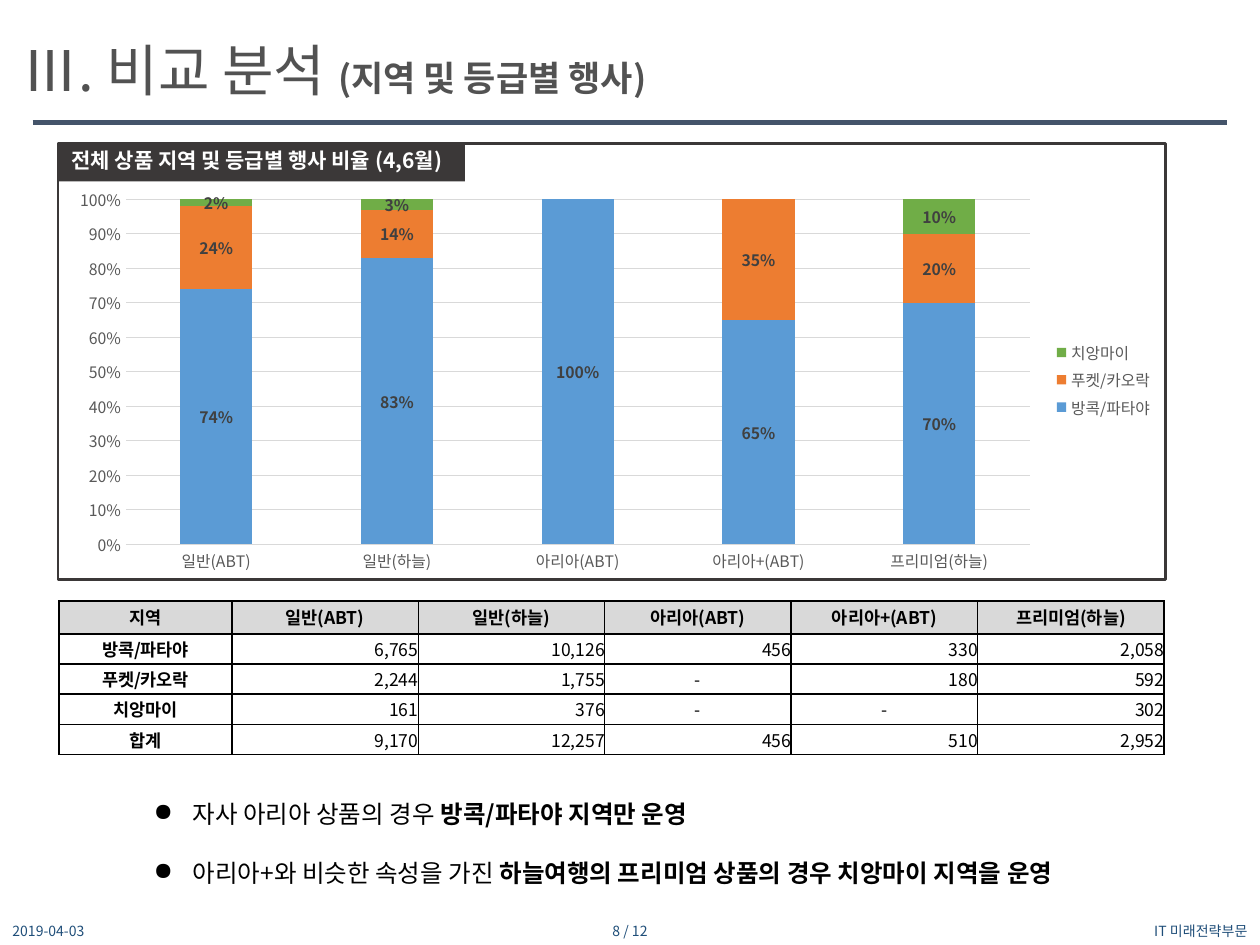
from lxml.etree import SubElement
from pptx import Presentation
from pptx.chart.data import CategoryChartData
from pptx.dml.color import RGBColor
from pptx.enum.chart import XL_CHART_TYPE, XL_LABEL_POSITION, XL_LEGEND_POSITION, XL_TICK_MARK
from pptx.enum.shapes import MSO_CONNECTOR, MSO_SHAPE
from pptx.enum.text import MSO_ANCHOR, PP_ALIGN
from pptx.oxml.ns import qn
from pptx.util import Inches, Pt

FONT = "Noto Sans CJK KR"
BLACK = RGBColor(0, 0, 0)
WHITE = RGBColor(0xFF, 0xFF, 0xFF)
CHARCOAL = RGBColor(0x3B, 0x38, 0x38)
TITLE_GRAY = RGBColor(0x52, 0x52, 0x52)
RULE_BLUE = RGBColor(0x44, 0x54, 0x6A)
FOOTER_BLUE = RGBColor(0x1F, 0x4E, 0x79)
HEADER_GRAY = RGBColor(0xD9, 0xD9, 0xD9)
AXIS_GRAY = RGBColor(0x59, 0x59, 0x59)
LABEL_GRAY = RGBColor(0x40, 0x40, 0x40)
SERIES_COLORS = [
    RGBColor(0x5B, 0x9B, 0xD5),
    RGBColor(0xED, 0x7D, 0x31),
    RGBColor(0x70, 0xAD, 0x47),
]

GRADES = ["일반(ABT)", "일반(하늘)", "아리아(ABT)", "아리아+(ABT)", "프리미엄(하늘)"]
SHARES = {
    "방콕/파타야": [0.74, 0.83, 1, 0.65, 0.7],
    "푸켓/카오락": [0.24, 0.14, 0, 0.35, 0.2],
    "치앙마이": [0.02, 0.03, 0, 0, 0.1],
}
COUNTS = [
    ["지역", *GRADES],
    ["방콕/파타야", "6,765", "10,126", "456", "330", "2,058"],
    ["푸켓/카오락", "2,244", "1,755", "-", "180", "592"],
    ["치앙마이", "161", "376", "-", "-", "302"],
    ["합계", "9,170", "12,257", "456", "510", "2,952"],
]
FINDINGS = [
    ("자사 아리아 상품의 경우 ", "방콕/파타야 지역만 운영"),
    ("아리아+와 비슷한 속성을 가진 ", "하늘여행의 프리미엄 상품의 경우 치앙마이 지역을 운영"),
]


def style_font(font, size, color, bold=False):
    font.name = FONT
    font.size = Pt(size)
    font.bold = bold
    font.color.rgb = color
    SubElement(font._rPr, qn("a:ea"), typeface=FONT)


def add_span(para, text, size, color, bold=False):
    span = para.add_run()
    span.text = text
    style_font(span.font, size, color, bold)


def add_text_box(page, left, top, width, height, anchor=MSO_ANCHOR.TOP):
    box = page.shapes.add_textbox(Inches(left), Inches(top), Inches(width), Inches(height))
    frame = box.text_frame
    frame.word_wrap = True
    frame.vertical_anchor = anchor
    return frame


def add_rectangle(page, left, top, width, height):
    shape = page.shapes.add_shape(
        MSO_SHAPE.RECTANGLE, Inches(left), Inches(top), Inches(width), Inches(height))
    shape.shadow.inherit = False
    return shape


def add_title(page, left, top, width, height):
    para = add_text_box(page, left, top, width, height).paragraphs[0]
    add_span(para, "Ⅲ. 비교 분석 ", 32, TITLE_GRAY)
    add_span(para, "(지역 및 등급별 행사)", 20, TITLE_GRAY, True)
    rule_top = Inches(top + 0.74)
    rule = page.shapes.add_connector(
        MSO_CONNECTOR.STRAIGHT, Inches(0.26), rule_top, Inches(9.74), rule_top)
    rule.line.color.rgb = RULE_BLUE
    rule.line.width = Pt(3)
    SubElement(rule._element.spPr, qn("a:effectLst"))


def add_chart_panel(page, left, top, width, height):
    tab = add_rectangle(page, left, top, 3.23, 0.3)
    tab.fill.solid()
    tab.fill.fore_color.rgb = CHARCOAL
    tab.line.fill.background()
    para = add_text_box(page, left + 0.01, top - 0.02, 3.63, 0.3).paragraphs[0]
    add_span(para, "전체 상품 지역 및 등급별 행사 비율 (4,6월)", 12, WHITE, True)
    panel = add_rectangle(page, left, top, width, height)
    panel.fill.background()
    panel.line.color.rgb = CHARCOAL
    panel.line.width = Pt(1.5)
    add_share_chart(page, left, top + 0.29, width, height - 0.29)


def add_share_chart(page, left, top, width, height):
    data = CategoryChartData(number_format="0%")
    data.categories = GRADES
    for region, shares in SHARES.items():
        data.add_series(region, shares)
    chart = page.shapes.add_chart(
        XL_CHART_TYPE.COLUMN_STACKED_100, Inches(left), Inches(top),
        Inches(width), Inches(height), data).chart
    style_font(chart.font, 10, BLACK)
    chart.has_title = False
    chart.has_legend = True
    chart.legend.position = XL_LEGEND_POSITION.RIGHT
    chart.legend.include_in_layout = False
    style_font(chart.legend.font, 9, AXIS_GRAY)

    for axis in (chart.category_axis, chart.value_axis):
        axis.major_tick_mark = XL_TICK_MARK.NONE
        axis.minor_tick_mark = XL_TICK_MARK.NONE
        style_font(axis.tick_labels.font, 9, AXIS_GRAY)
    chart.value_axis.format.line.fill.background()
    chart.value_axis.tick_labels.number_format = "0%"
    chart.value_axis.tick_labels.number_format_is_linked = False
    for line in (chart.category_axis.format.line, chart.value_axis.major_gridlines.format.line):
        line.color.rgb = HEADER_GRAY
        line.width = Pt(0.75)

    plot = chart.plots[0]
    plot.gap_width = 150
    plot.overlap = 100
    plot.vary_by_categories = False
    for series, color in zip(plot.series, SERIES_COLORS):
        series.format.fill.solid()
        series.format.fill.fore_color.rgb = color
        labels = series.data_labels
        labels.show_value = True
        labels.position = XL_LABEL_POSITION.CENTER
        labels.number_format = "0%;;"
        labels.number_format_is_linked = False
        style_font(labels.font, 9, LABEL_GRAY, True)


def add_borders(cell):
    properties = cell._tc.get_or_add_tcPr()
    for side in ("a:lnL", "a:lnR", "a:lnT", "a:lnB"):
        border = SubElement(properties, qn(side), w=str(Pt(1)))
        SubElement(SubElement(border, qn("a:solidFill")), qn("a:srgbClr"), val=str(BLACK))


def add_count_table(page, left, top, width, height):
    table = page.shapes.add_table(
        len(COUNTS), len(COUNTS[0]), Inches(left), Inches(top),
        Inches(width), Inches(height)).table
    table.first_row = False
    table.horz_banding = False
    for index, column in enumerate(table.columns):
        column.width = Inches(1.48 if index else 1.37)
    for index, row in enumerate(table.rows):
        row.height = Inches(0.24 if index else 0.26)
        for position, text in enumerate(COUNTS[index]):
            heading = index == 0 or position == 0
            cell = table.cell(index, position)
            cell.margin_left = cell.margin_right = cell.margin_top = cell.margin_bottom = 0
            cell.vertical_anchor = MSO_ANCHOR.MIDDLE
            add_borders(cell)
            if index == 0:
                cell.fill.solid()
                cell.fill.fore_color.rgb = HEADER_GRAY
            else:
                cell.fill.background()
            para = cell.text_frame.paragraphs[0]
            para.alignment = PP_ALIGN.CENTER if heading or text == "-" else PP_ALIGN.RIGHT
            add_span(para, text, 10, BLACK, heading)


def add_findings(page, left, top, width, height):
    frame = add_text_box(page, left, top, width, height)
    for index, (lead, emphasis) in enumerate(FINDINGS):
        para = frame.add_paragraph() if index else frame.paragraphs[0]
        para.line_spacing = 2.0
        properties = para._p.get_or_add_pPr()
        properties.set("marL", str(Inches(0.31)))
        properties.set("indent", str(Inches(-0.31)))
        SubElement(properties, qn("a:buChar"), char="●")
        add_span(para, lead, 14, BLACK)
        add_span(para, emphasis, 14, BLACK, True)


def add_footer(page, left, top, width, height):
    parts = [
        (left, "2019-04-03", PP_ALIGN.LEFT),
        (left + (width - 2.25) / 2, "8 / 12", PP_ALIGN.CENTER),
        (left + width - 2.25, "IT 미래전략부문", PP_ALIGN.RIGHT),
    ]
    for part_left, text, alignment in parts:
        frame = add_text_box(page, part_left, top, 2.25, height, MSO_ANCHOR.MIDDLE)
        frame.paragraphs[0].alignment = alignment
        add_span(frame.paragraphs[0], text, 8, FOOTER_BLUE)


def main():
    deck = Presentation()
    deck.slide_width = Inches(10)
    deck.slide_height = Inches(7.5)
    page = deck.slides.add_slide(deck.slide_layouts[6])
    add_title(page, 0.08, 0.23, 9.66, 0.64)
    add_chart_panel(page, 0.46, 1.14, 8.79, 3.46)
    add_count_table(page, 0.47, 4.77, 8.77, 1.22)
    add_findings(page, 1.12, 6.06, 8.88, 1.04)
    add_footer(page, 0, 7.29, 10, 0.2)
    deck.save("out.pptx")


if __name__ == "__main__":
    main()
